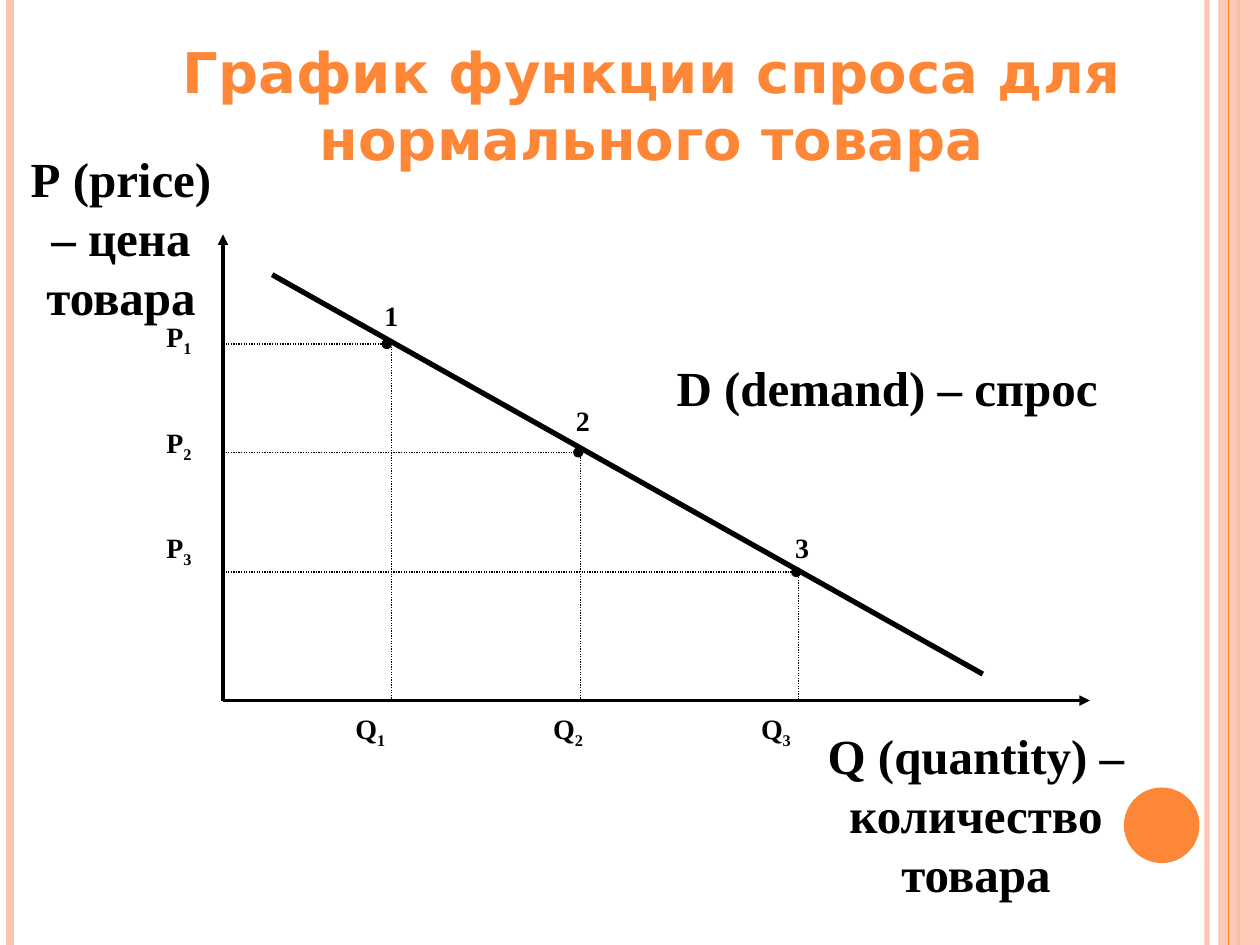
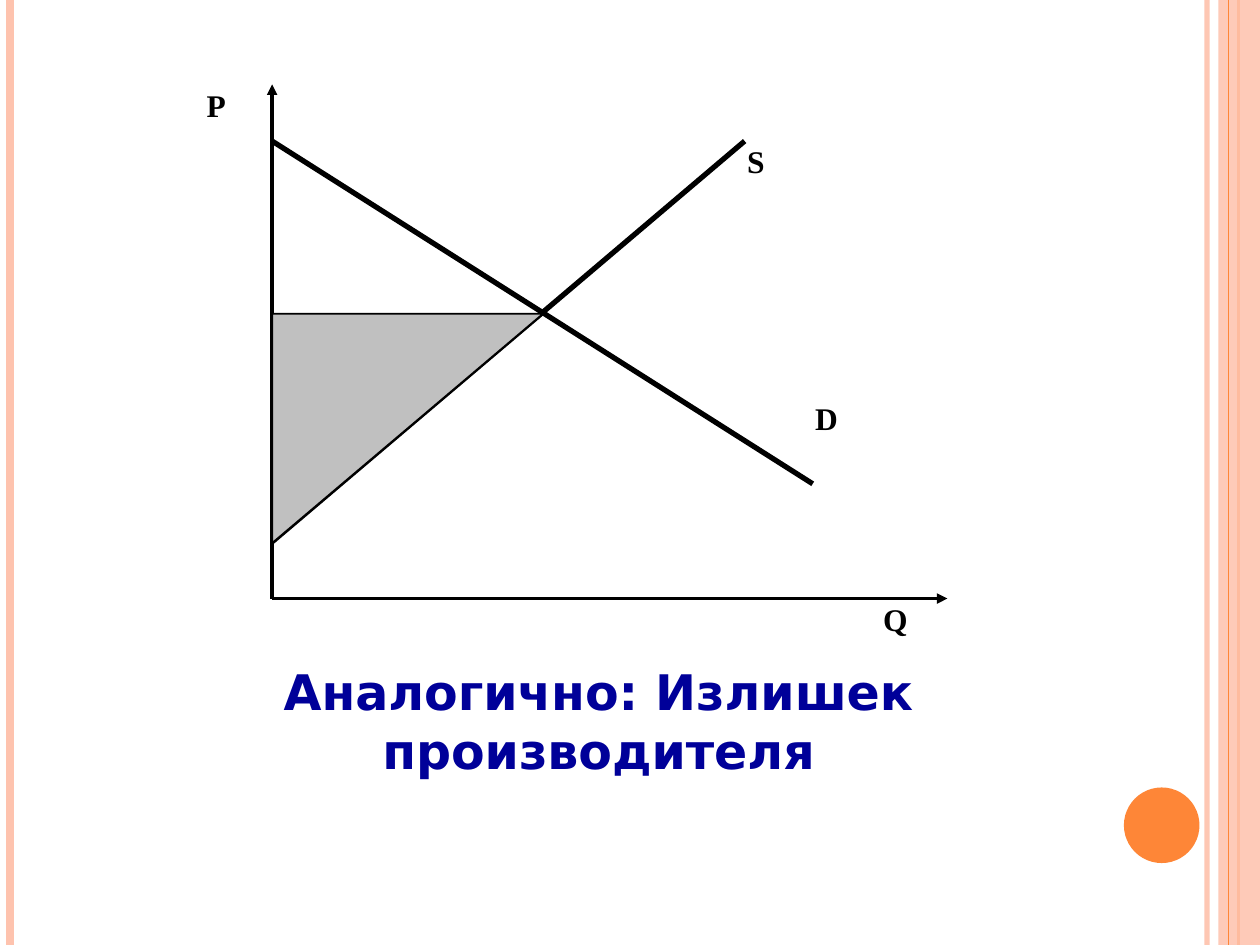
from pptx import Presentation
from pptx.dml.color import RGBColor
from pptx.enum.dml import MSO_LINE
from pptx.enum.shapes import MSO_CONNECTOR, MSO_SHAPE
from pptx.enum.text import MSO_AUTO_SIZE, PP_ALIGN
from pptx.oxml.ns import qn
from pptx.util import Inches, Pt
from lxml import etree

STRAIGHT = MSO_CONNECTOR.STRAIGHT
RECT = MSO_SHAPE.RECTANGLE
OVAL = MSO_SHAPE.OVAL
WEDGE = MSO_SHAPE.RIGHT_TRIANGLE
DOTS = MSO_LINE.ROUND_DOT
LEFT, CENTER = PP_ALIGN.LEFT, PP_ALIGN.CENTER
GROW = MSO_AUTO_SIZE.SHAPE_TO_FIT_TEXT

COLORS = {
    "ink": "000000",
    "peach": "FEC3AE",
    "orange": "FE8637",
    "navy": "000099",
    "gray": "C0C0C0",
}
SERIF, SANS = "Times New Roman", "DejaVu Sans"
WIDTH, HEIGHT = 10, 7.5


def rgb(name):
    return RGBColor.from_string(COLORS[name])


def fade(item, percent):
    color = next(item._element.spPr.iter(qn("a:srgbClr")))
    etree.SubElement(color, qn("a:alpha"), val=str(percent * 1000))


def add_line(slide, start, end, width, color="ink", dash=None, tip=None):
    line = slide.shapes.add_connector(STRAIGHT, *map(Inches, start + end))
    line.line.color.rgb = rgb(color)
    line.line.width = Pt(width)
    if dash:
        line.line.dash_style = dash
    props = line._element.spPr
    if tip:
        etree.SubElement(props.find(qn("a:ln")), qn("a:tailEnd"), type=tip)
    etree.SubElement(props, qn("a:effectLst"))
    return line


def add_form(slide, kind, box, fill, edge=None):
    form = slide.shapes.add_shape(kind, *map(Inches, box))
    form.shadow.inherit = False
    form.fill.solid()
    form.fill.fore_color.rgb = rgb(fill)
    if edge:
        form.line.color.rgb = rgb("ink")
        form.line.width = Pt(edge)
    else:
        form.line.fill.background()
    return form


def add_text(slide, box, text, size, font=SERIF, color="ink", align=LEFT,
             pad=(0.02, 0.01), sub=None):
    frame = slide.shapes.add_textbox(*map(Inches, box)).text_frame
    frame.word_wrap = True
    frame.margin_left = frame.margin_right = Inches(pad[0])
    frame.margin_top = frame.margin_bottom = Inches(pad[1])
    para = frame.paragraphs[0]
    para.alignment = align
    para.font.name = font
    para.font.size = Pt(size)
    para.font.bold = True
    para.font.color.rgb = rgb(color)
    para.add_run().text = text
    if sub:
        run = para.add_run()
        run.text = sub
        run.font._element.set("baseline", "-25000")
    return frame


def add_title(slide, box, text, size, color):
    frame = add_text(slide, box, text, size, SANS, color, CENTER, (0.1, 0.05))
    frame.auto_size = GROW


def add_axes(slide, origin, top, right):
    add_line(slide, origin, (origin[0], top), 2, tip="triangle")
    add_line(slide, origin, (right, origin[1]), 2, tip="triangle")


def add_rule(slide, x, width, color):
    return add_line(slide, (x, 0), (x, HEIGHT), width, color)


def new_slide(deck):
    slide = deck.slides.add_slide(deck.slide_layouts[6])
    fade(add_rule(slide, 9.58, 3, "peach"), 93)
    add_rule(slide, 0.08, 4.5, "peach")
    add_rule(slide, 9.83, 1.5, "orange")
    fade(add_form(slide, RECT, (9.67, 0, 0.33, HEIGHT), "peach"), 87)
    add_rule(slide, 9.75, 0.75, "orange")
    add_form(slide, OVAL, (8.92, 6.25, 0.6, 0.6), "orange")
    return slide


def draw_demand(deck):
    slide = new_slide(deck)
    left, base = 1.77, 5.56
    add_axes(slide, (left, base), 1.86, 8.65)
    add_line(slide, (2.16, 2.18), (7.8, 5.35), 3)
    points = [
        (3.07, 3.11, 2.73, 2.8, (3.03, 2.36)),
        (4.59, 4.61, 3.59, 4.37, (4.55, 3.19)),
        (6.32, 6.34, 4.54, 6.02, (6.29, 4.2)),
    ]
    for index, (dot, drop, price, mark, spot) in enumerate(points):
        num = str(index + 1)
        add_line(slide, (left, price), (dot, price), 0.75, dash=DOTS, tip="oval")
        add_line(slide, (drop, price), (drop, base), 0.75, dash=DOTS)
        row = 2.53 + 0.835 * index
        add_text(slide, (1.3, row, 0.65, 0.5), "Р", 16, sub=num)
        add_text(slide, (mark, 5.64, 0.43, 0.5), "Q", 16, sub=num)
        add_text(slide, (*spot, 0.65, 0.5), num, 16)
    names = [
        ((0.17, 1.17, 1.58, 0.5), "Р (price) – цена товара"),
        ((6.5, 5.75, 2.49, 0.54), "Q (quantity) – количество товара"),
        ((5, 2.83, 4.08, 0.39), "D (demand) – спрос"),
    ]
    for box, text in names:
        add_text(slide, box, text, 28, align=CENTER)
    add_title(slide, (1.08, 0.25, 8.19, 1.18),
              "График функции спроса для нормального товара", 32, "orange")


def draw_surplus(deck):
    slide = new_slide(deck)
    left, base = 2.16, 4.75
    add_axes(slide, (left, base), 0.67, 7.52)
    add_line(slide, (left, 1.12), (6.45, 3.84), 3)
    add_line(slide, (left, 4.3), (5.91, 1.12), 3)
    wedge = add_form(slide, WEDGE, (left, 2.49, 2.15, 1.82), "gray", 1)
    wedge._element.spPr.find(qn("a:xfrm")).set("flipV", "1")
    names = [("Р", 1.62, 0.67), ("Q", 6.99, base), ("D", 6.45, 3.16), ("S", 5.91, 1.12)]
    for text, x, y in names:
        add_text(slide, (x, y, 0.54, 0.46), text, 18)
    add_title(slide, (0.5, 5.2, 8.5, 1.04),
              "Аналогично: Излишек производителя", 28, "navy")


def main():
    deck = Presentation()
    deck.slide_width, deck.slide_height = Inches(WIDTH), Inches(HEIGHT)
    draw_demand(deck)
    draw_surplus(deck)
    deck.save("out.pptx")


if __name__ == "__main__":
    main()
